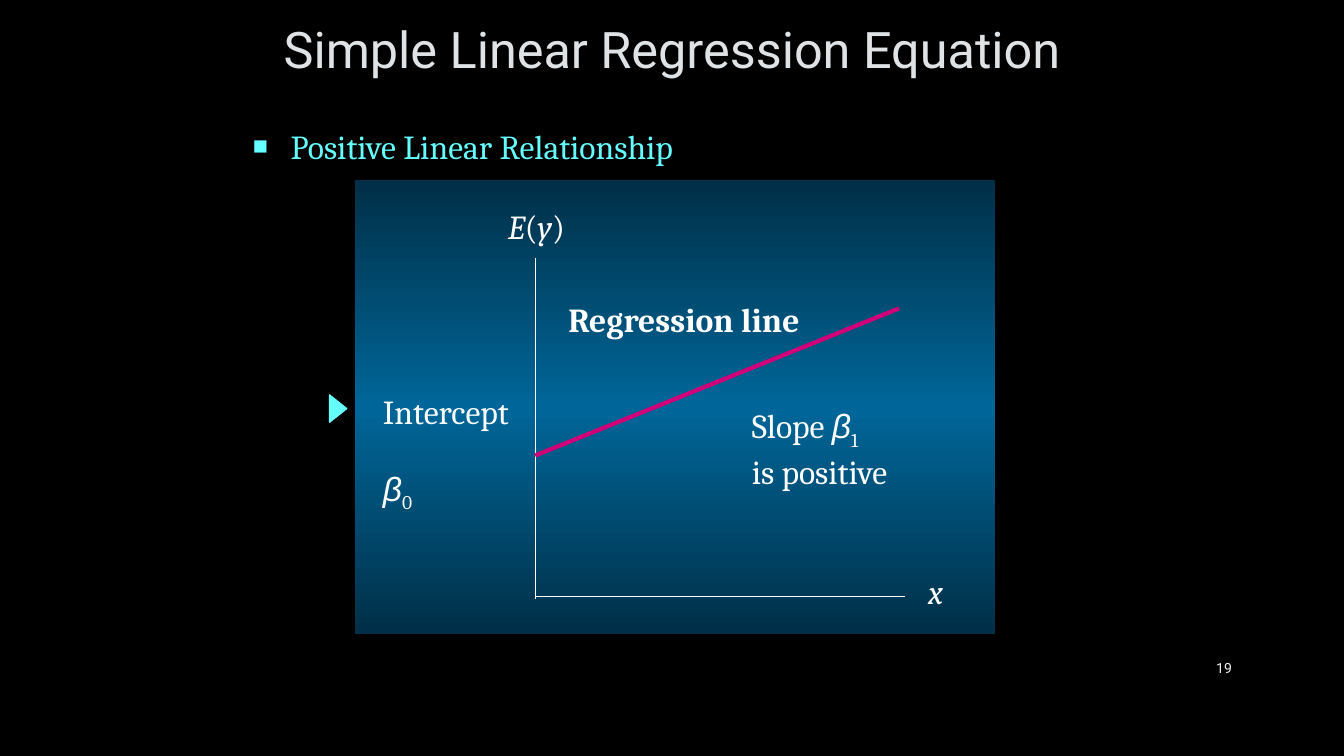
import pptx
import pptx.util
import pptx.dml.color
import pptx.enum.shapes
import pptx.enum.text
import pptx.oxml
import pptx.oxml.ns

Pt = pptx.util.Pt
Shape = pptx.enum.shapes.MSO_SHAPE
Align = pptx.enum.text.PP_ALIGN
Anchor = pptx.enum.text.MSO_ANCHOR

WHITE, CYAN, MAGENTA = "FFFFFF", "66FFFF", "D20078"
PANEL_EDGE, PANEL_MIDDLE = "002F47", "006699"
SERIF, SANS, GREEK = "Cambria", "Roboto", "Arial"

TITLE = [[("Simple Linear Regression Equation", "")]]
TOPIC = [[("Positive Linear Relationship", "")]]
NUMBER = [[("19", "")]]
LABELS = [
    ((355.7, 143.3, 57, 36), [[("E", "italic"), ("(", ""), ("y", "italic"), (")", "")]], 0),
    ((655.9, 404.6, 27, 36), [[("x", "italic")]], 0),
    ((529.9, 285.8, 123, 66),
     [[("Slope ", ""), ("β", "greek"), ("1", "sub")], [("is positive", "")]], 0),
    ((398.9, 210.2, 184.3, 36), [[("Regression line", "bold")]], 0),
    ((266.4, 275.8, 114.5, 92), [[("Intercept", "")], [("β", "greek"), ("0", "sub")]], 26),
]
PANEL = (253.4, 128.9, 457.2, 324)
MARKER = (231.8, 285.8, 19.4, 12.2)
AXIS_LEFT, AXIS_BOTTOM = 382.3, 426.2
LINES = [
    ((AXIS_LEFT, 184.3, AXIS_LEFT, 427.7), WHITE, 0.5),
    ((646.6, AXIS_BOTTOM, AXIS_LEFT, AXIS_BOTTOM), WHITE, 0.5),
    ((AXIS_LEFT, 325.4, 642.2, 220.3), MAGENTA, 3),
]


def color(value):
    return pptx.dml.color.RGBColor.from_string(value)


def add_text(page, place, lines, size=24, font=SERIF, ink=WHITE,
             align=Align.LEFT, anchor=Anchor.TOP, gap=0):
    box = page.shapes.add_textbox(*map(Pt, place))
    frame = box.text_frame
    frame.word_wrap = True
    frame.vertical_anchor = anchor
    for index, line in enumerate(lines):
        para = frame.add_paragraph() if index else frame.paragraphs[0]
        para.alignment = align
        para.space_before = Pt(gap if index else 0)
        for text, style in line:
            span = para.add_run()
            span.text = text
            span.font.size = Pt(size)
            span.font.name = GREEK if style == "greek" else font
            span.font.color.rgb = color(ink)
            span.font.bold = style == "bold"
            span.font.italic = style in ("italic", "greek")
            if style == "sub":
                span.font._element.set("baseline", "-25000")
    return frame


def add_bullet(para, ink):
    properties = para._p.get_or_add_pPr()
    properties.set("marL", str(Pt(27)))
    properties.set("indent", str(Pt(-27)))
    namespace = pptx.oxml.ns.nsdecls("a")
    for markup in (f'<a:buClr {namespace}><a:srgbClr val="{ink}"/></a:buClr>',
                   f'<a:buSzPct {namespace} val="75000"/>',
                   f'<a:buFont {namespace} typeface="Arial"/>',
                   f'<a:buChar {namespace} char="■"/>'):
        properties.append(pptx.oxml.parse_xml(markup))


def add_panel(page):
    panel = page.shapes.add_shape(Shape.RECTANGLE, *map(Pt, PANEL))
    panel.shadow.inherit = False
    panel.line.fill.background()
    stops = "".join(
        f'<a:gs pos="{position}"><a:srgbClr val="{value}"/></a:gs>'
        for position, value in ((0, PANEL_EDGE), (50000, PANEL_MIDDLE), (100000, PANEL_EDGE)))
    panel.fill.gradient()
    gradient = panel._element.spPr.find(pptx.oxml.ns.qn("a:gradFill"))
    gradient.getparent().replace(gradient, pptx.oxml.parse_xml(
        f'<a:gradFill {pptx.oxml.ns.nsdecls("a")} rotWithShape="1"><a:gsLst>{stops}</a:gsLst>'
        '<a:lin ang="5400000" scaled="1"/></a:gradFill>'))


def add_line(page, ends, ink, width):
    line = page.shapes.add_connector(
        pptx.enum.shapes.MSO_CONNECTOR.STRAIGHT, *map(Pt, ends))
    line.line.color.rgb = color(ink)
    line.line.width = Pt(width)
    line._element.spPr.append(
        pptx.oxml.parse_xml(f'<a:effectLst {pptx.oxml.ns.nsdecls("a")}/>'))


def add_marker(page):
    marker = page.shapes.add_shape(Shape.ISOSCELES_TRIANGLE, *map(Pt, MARKER))
    marker.rotation = 90
    marker.shadow.inherit = False
    marker.fill.solid()
    marker.fill.fore_color.rgb = color(CYAN)
    marker.line.color.rgb = color(CYAN)
    marker.line.width = Pt(1)


def main():
    deck = pptx.Presentation()
    deck.slide_width, deck.slide_height = Pt(960), Pt(540)
    page = deck.slides.add_slide(deck.slide_layouts[6])
    page.background.fill.solid()
    page.background.fill.fore_color.rgb = color("000000")

    add_text(page, (174.2, 2.9, 612, 64), TITLE, 36, SANS, "DFE3E5",
             Align.CENTER, Anchor.MIDDLE)
    topic = add_text(page, (173.5, 86.4, 612, 362.9), TOPIC, ink=CYAN)
    add_bullet(topic.paragraphs[0], CYAN)
    add_panel(page)
    for ends, ink, width in LINES:
        add_line(page, ends, ink, width)
    for place, lines, gap in LABELS:
        add_text(page, place, lines, gap=gap)
    add_marker(page)
    add_text(page, (828, 463, 59, 28.8), NUMBER, 10, SANS, "F2F2F2",
             Align.RIGHT, Anchor.MIDDLE)
    deck.save("out.pptx")


if __name__ == "__main__":
    main()
